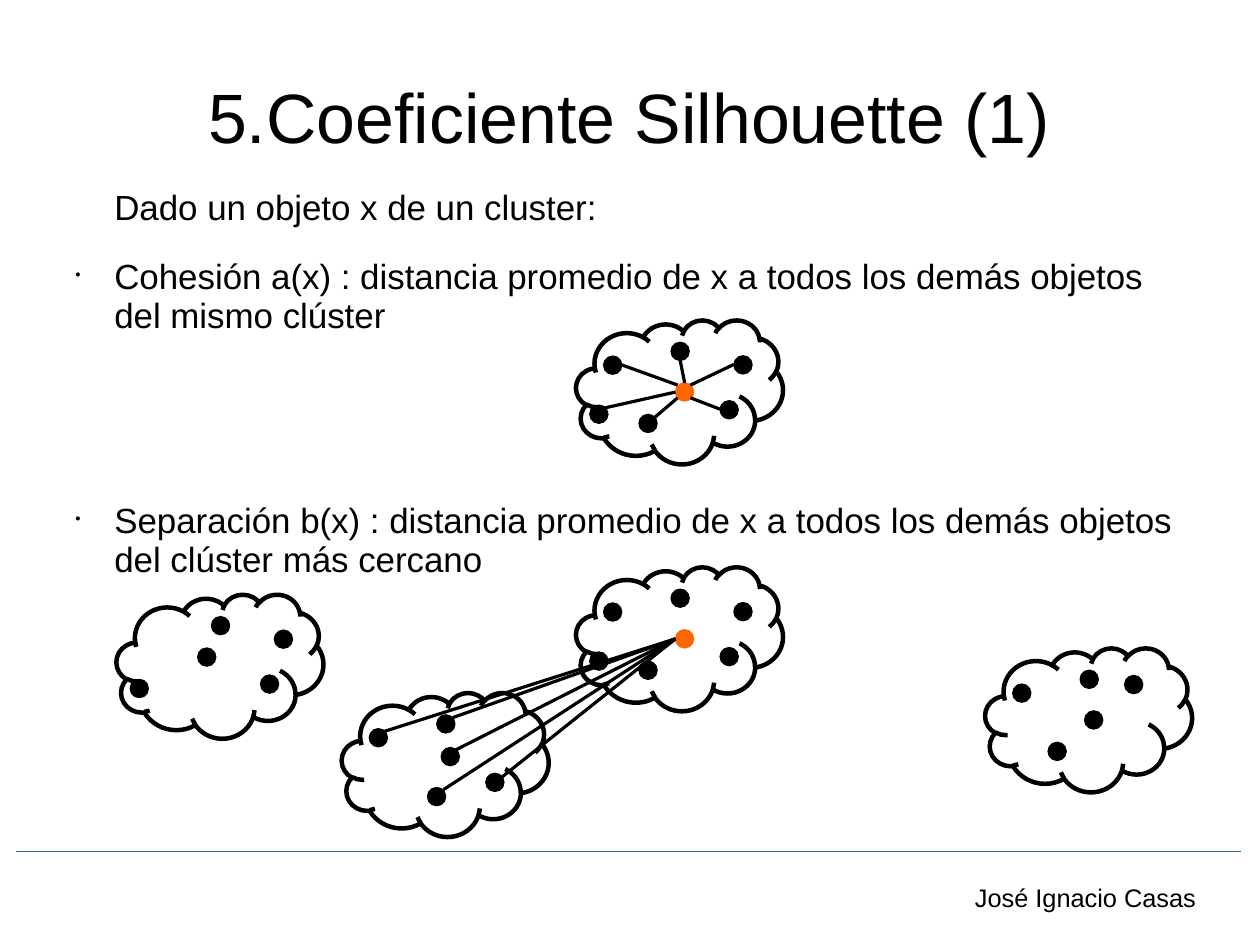
from lxml.etree import SubElement
from pptx import Presentation
from pptx.dml.color import RGBColor
from pptx.enum.shapes import MSO_CONNECTOR as CONN, MSO_SHAPE as SHAPE
from pptx.enum.text import MSO_ANCHOR as ANCHOR, PP_ALIGN as ALIGN
from pptx.oxml.ns import qn
from pptx.util import Pt

BLACK = RGBColor(0x00, 0x00, 0x00)
ORANGE = RGBColor(0xFF, 0x66, 0x00)
BLUE = RGBColor(0x34, 0x65, 0xA4)

CLOUD_W, CLOUD_H, DOT = 130.3, 90.7, 11.5
NW, N, NE = (17.3, 22.7), (59.8, 14), (99.4, 22.5)
W, E, S = (8.6, 53.6), (90.7, 50.8), (39.6, 59.4)
X = (62.6, 39.6)
OWN_CLUSTER = [NW, N, NE, W, E, S]
LEFT_CLUSTER = [N, NE, W, E, (51.1, 33.8)]
NEAREST_CLUSTER = [NW, N, E, (54, 59.8), (62.6, 34.6)]
FAR_CLUSTER = [NW, N, (87.8, 17.3), S, X]

COHESION = [((64, 41), (28, 28)), ((68.4, 39.6), (65.5, 25.2)),
            ((72, 41), (99.4, 28)), ((62.6, 45.4), (18, 55.4)),
            ((64, 49), (49.7, 61.2)), ((72, 49), (90.7, 56.2))]
SEPARATION = [(26.6, 24.5), (69.8, 15.8), (72, 36), (64, 61.2), (100.8, 53.3)]


def add_text(s, box, paras, size, insets, anchor=ANCHOR.TOP, **fmt):
    """Place a text box with one paragraph per string and return its paragraphs."""
    tf = s.shapes.add_textbox(*map(Pt, box)).text_frame
    frame = dict(zip(("margin_left", "margin_top", "margin_right", "margin_bottom"),
                     map(Pt, insets)), word_wrap=True, vertical_anchor=anchor)
    for name, value in frame.items():
        setattr(tf, name, value)
    for i, text in enumerate(paras):
        p = tf.add_paragraph() if i else tf.paragraphs[0]
        for name, value in {"line_spacing": 0.93, **fmt}.items():
            setattr(p, name, value)
        r = p.add_run()
        r.text = text
        for name, value in {"name": "Arial", "size": Pt(size)}.items():
            setattr(r.font, name, value)
        r.font.color.rgb = BLACK
    return tf.paragraphs


def add_title(s, box):
    """Write the centred slide title in the box."""
    add_text(s, box, ["5.Coeficiente Silhouette (1)"], 44, (0, 4.3, 0, 0),
             ANCHOR.MIDDLE, alignment=ALIGN.CENTER)


def add_body(s, box):
    """Write the introduction and the two bulleted definitions in the box."""
    paras = add_text(s, box, [
        "Dado un objeto x de un cluster:",
        "Cohesión a(x) : distancia promedio de x a todos los demás objetos "
        "del mismo clúster",
        "Separación b(x) : distancia promedio de x a todos los demás objetos "
        "del clúster más cercano"], 22, (0, 2.9, 0, 0))
    for p, gap in zip(paras, (0, 18.9, 104.5)):
        p.space_before = Pt(gap)
        pPr = p._p.get_or_add_pPr()
        pPr.set("marL", str(Pt(32.4)))
        pPr.set("indent", str(Pt(-24.5) if gap else 0))
        if gap:
            clr = SubElement(pPr, qn("a:buClr"))
            SubElement(clr, qn("a:srgbClr"), val=str(BLACK))
            SubElement(pPr, qn("a:buSzPct"), val="45000")
            SubElement(pPr, qn("a:buChar"), char="•")


def add_line(s, start, end, color=BLACK, width=0):
    """Draw a straight line between two points."""
    c = s.shapes.add_connector(CONN.STRAIGHT, *map(Pt, (*start, *end)))
    c.line.color.rgb = color
    c.line.width = Pt(width)
    SubElement(c._element.spPr, qn("a:effectLst"))


def add_dot(s, x, y, color=BLACK):
    """Draw one object of a cluster."""
    sp = s.shapes.add_shape(SHAPE.OVAL, *map(Pt, (x, y, DOT, DOT)))
    sp.shadow.inherit = False
    sp.fill.solid()
    sp.fill.fore_color.rgb = color
    sp.line.color.rgb = color
    sp.line.width = Pt(0)


def add_cluster(s, origin, dots, has_x=False):
    """Draw a cloud at the origin with its objects, and x when it belongs there."""
    left, top = origin
    sp = s.shapes.add_shape(SHAPE.CLOUD, *map(Pt, (left, top, CLOUD_W, CLOUD_H)))
    sp.shadow.inherit = False
    sp.fill.background()
    sp.line.color.rgb = BLACK
    sp.line.width = Pt(2.83)
    for dx, dy in dots:
        add_dot(s, left + dx, top + dy)
    if has_x:
        add_dot(s, left + X[0], top + X[1], ORANGE)


def add_cohesion(s, origin):
    """Draw the cluster of x with lines from x to its companions."""
    left, top = origin
    add_cluster(s, origin, OWN_CLUSTER, has_x=True)
    for (x1, y1), (x2, y2) in COHESION:
        add_line(s, (left + x1, top + y1), (left + x2, top + y2))


def add_separation(s, own, nearest, left_cluster, far):
    """Draw four clusters with lines from x to the objects of the nearest one."""
    add_cluster(s, own, OWN_CLUSTER, has_x=True)
    add_cluster(s, left_cluster, LEFT_CLUSTER)
    add_cluster(s, nearest, NEAREST_CLUSTER)
    add_cluster(s, far, FAR_CLUSTER)
    start = own[0] + X[0], own[1] + X[1] + DOT / 2
    for dx, dy in SEPARATION:
        add_line(s, start, (nearest[0] + dx, nearest[1] + dy))


def add_footer(s, box):
    """Draw the footer rule and the author at the right of the box."""
    left, top, width, height = box
    add_line(s, (left, top), (left + width, top), BLUE, 0.75)
    add_text(s, (left + 596.9, top + 17.3, 164.2, 25.2), ["José Ignacio Casas"],
             16, (7.2, 3.6, 7.2, 3.6))


def main():
    """Build the slide and save it."""
    prs = Presentation()
    prs.slide_width, prs.slide_height = Pt(793.7), Pt(595.3)
    s = prs.slides.add_slide(prs.slide_layouts[6])
    add_footer(s, (10.1, 536.4, 771.8, 45))
    add_title(s, (39.6, 23.8, 714.2, 99.4))
    add_body(s, (39.6, 116.6, 714.2, 271.4))
    add_cohesion(s, (362.9, 201.6))
    add_separation(s, own=(362.9, 357.1), nearest=(215.3, 436.3),
                   left_cluster=(73.4, 374.4), far=(620.6, 408.2))
    prs.save("out.pptx")


if __name__ == "__main__":
    main()
